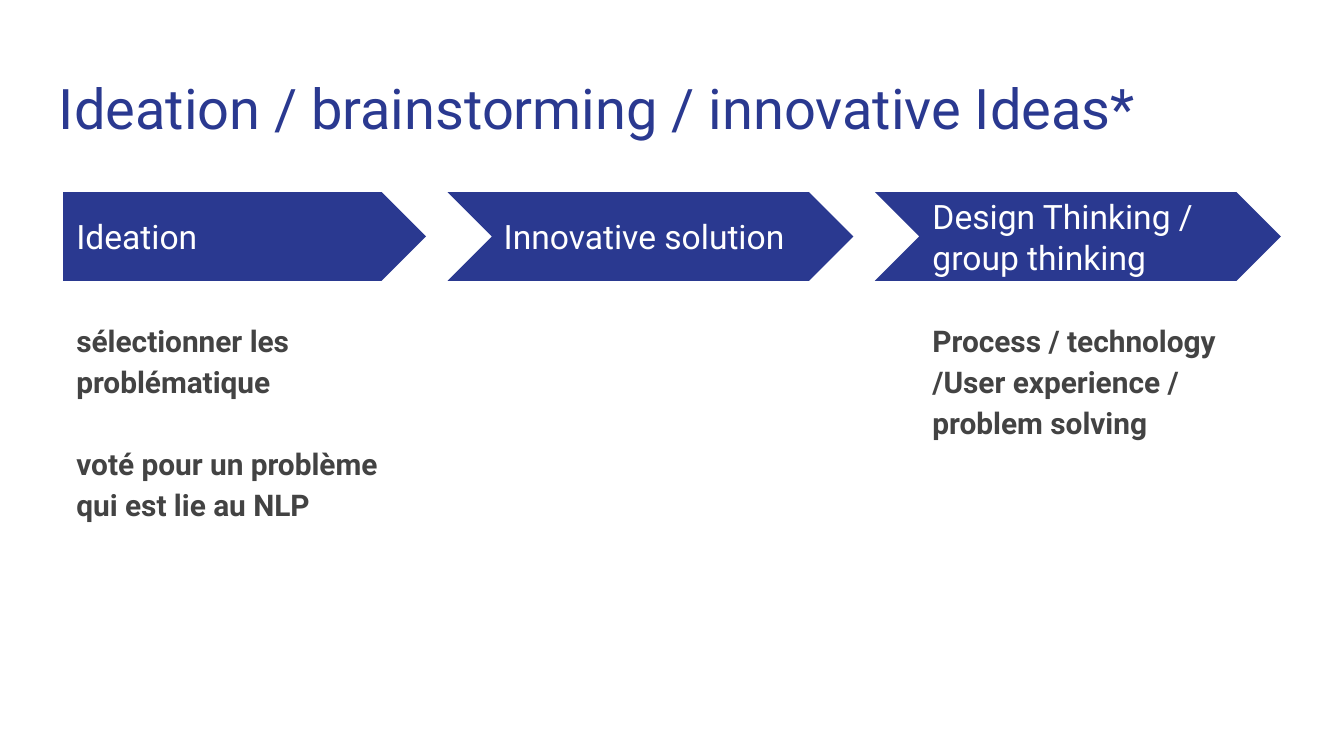
from pptx import Presentation
from pptx import util as u
from pptx.dml.color import RGBColor
from pptx.enum import shapes, text

BLUE = RGBColor(0x2A, 0x39, 0x90)
WHITE = RGBColor(0xFF, 0xFF, 0xFF)
GRAY = RGBColor(0x43, 0x43, 0x43)
FONT = "Roboto"


def write(frame, paragraphs, size, color, bold=False, line_spacing=1.0, gap=0):
    for index, content in enumerate(paragraphs):
        paragraph = frame.paragraphs[0] if index == 0 else frame.add_paragraph()
        paragraph.alignment = text.PP_ALIGN.LEFT
        paragraph.line_spacing = line_spacing
        paragraph.space_before = u.Pt(gap if index else 0)
        run = paragraph.add_run()
        run.text = content
        run.font.name = FONT
        run.font.size = u.Pt(size)
        run.font.bold = bold
        run.font.color.rgb = color


class ProcessSlide:
    def __init__(self, presentation):
        self.slide = presentation.slides.add_slide(presentation.slide_layouts[6])

    def arrow(self, kind, left, top, width, height):
        shape = self.slide.shapes.add_shape(
            kind, u.Inches(left), u.Inches(top), u.Inches(width), u.Inches(height))
        shape.adjustments[0] = 0.5
        shape.shadow.inherit = False
        shape.fill.solid()
        shape.fill.fore_color.rgb = BLUE
        shape.line.fill.background()

    def text_box(self, paragraphs, left, top, width, height,
                 anchor=text.MSO_ANCHOR.TOP, **style):
        box = self.slide.shapes.add_textbox(
            u.Inches(left), u.Inches(top), u.Inches(width), u.Inches(height))
        frame = box.text_frame
        frame.word_wrap = True
        frame.vertical_anchor = anchor
        frame.margin_left = frame.margin_right = u.Inches(0.1)
        frame.margin_top = frame.margin_bottom = u.Inches(0.1)
        write(frame, paragraphs, **style)

    def title(self, content):
        self.text_box([content], 0.34, 0.45, 9.32, 0.66, size=30, color=BLUE)

    def step(self, kind, left, width, text_left, heading, details, details_height):
        self.arrow(kind, left, 1.43, width, 0.66)
        self.text_box([heading], text_left, 1.59, 2.47, 0.34,
                      anchor=text.MSO_ANCHOR.MIDDLE, size=18, color=WHITE)
        if details:
            self.text_box(details, text_left, 2.26, 2.7, details_height, size=16,
                          color=GRAY, bold=True, line_spacing=1.15, gap=22)


def main():
    presentation = Presentation()
    presentation.slide_width = u.Inches(10)
    presentation.slide_height = u.Inches(10 * 9 / 16)
    slide = ProcessSlide(presentation)
    slide.title("Ideation / brainstorming / innovative Ideas*")
    pentagon, chevron = shapes.MSO_SHAPE.PENTAGON, shapes.MSO_SHAPE.CHEVRON
    steps = [
        (pentagon, 0.47, 2.7, 0.47, "Ideation",
         ["sélectionner les problématique",
          "voté pour un problème qui est lie au NLP"], 2.06),
        (chevron, 3.33, 3.02, 3.65, "Innovative solution", [], 0),
        (chevron, 6.51, 3.02, 6.84, "Design Thinking / group thinking",
         ["Process / technology /User experience / problem solving"], 1.96),
    ]
    for step in steps:
        slide.step(*step)
    presentation.save("out.pptx")


if __name__ == "__main__":
    main()
